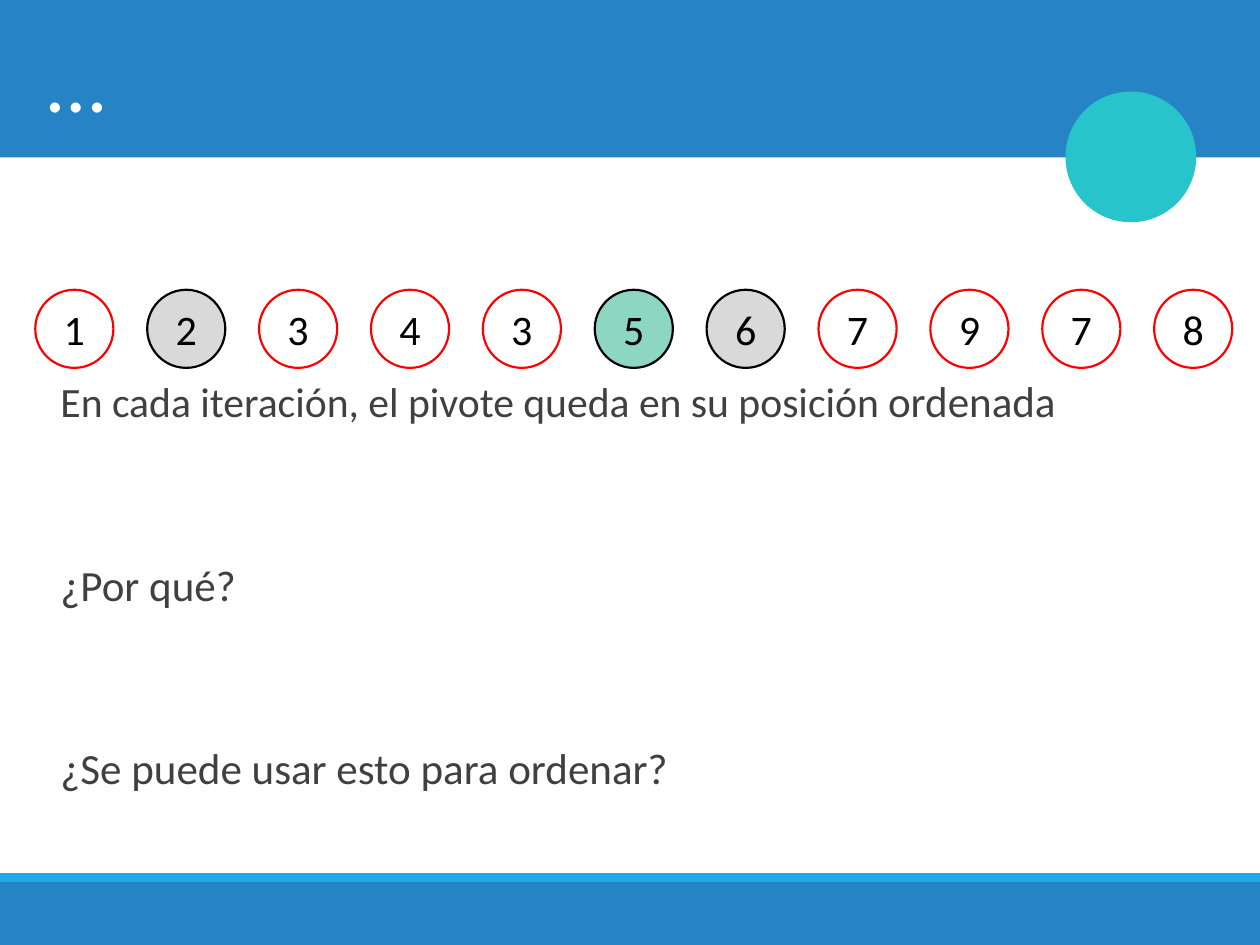
from pptx import Presentation
from pptx.dml.color import RGBColor
from pptx.enum.shapes import MSO_SHAPE as Geo
from pptx.enum.text import MSO_ANCHOR as Anchor, PP_ALIGN as Align
from pptx.util import Inches, Pt

WHITE = RGBColor(0xFF, 0xFF, 0xFF)
BLACK = RGBColor(0x00, 0x00, 0x00)
RED = RGBColor(0xFF, 0x00, 0x00)
BLUE = RGBColor(0x26, 0x83, 0xC6)
SKY = RGBColor(0x1C, 0xAD, 0xE4)
TEAL = RGBColor(0x28, 0xC4, 0xCC)
GRAY = RGBColor(0xD9, 0xD9, 0xD9)
MINT = RGBColor(0x8D, 0xD6, 0xC1)
DARK = RGBColor(0x40, 0x40, 0x40)

VALUES = [1, 2, 3, 4, 3, 5, 6, 7, 9, 7, 8]
PIVOTS = {1: GRAY, 5: MINT, 6: GRAY}
LINES = [
    [("En cada iteración, el pivote queda en su posición ", 23.8),
     ("ordenada", 24.6)],
    [("¿Por qué?", 24.6)],
    [("¿Se puede usar esto para ordenar?", 24.6)],
]
NO_INSET = dict(margin_left=0, margin_right=0, margin_top=0, margin_bottom=0)


def style(item, **values):
    for name, value in values.items():
        setattr(item, name, value)


def add_run(para, text, size, color):
    run = para.add_run()
    run.text = text
    style(run.font, name="Calibri", size=Pt(size))
    run.font.color.rgb = color
    return run


def add_shape(slide, kind, box, fill, line=None, width=0):
    shape = slide.shapes.add_shape(kind, *map(Inches, box))
    shape.shadow.inherit = False
    shape.fill.solid()
    shape.fill.fore_color.rgb = fill
    if line is None:
        shape.line.fill.background()
    else:
        shape.line.color.rgb = line
        shape.line.width = Pt(width)
    return shape


def add_frame(slide):
    """Draw the bars and the disc behind the title."""
    parts = [
        add_shape(slide, Geo.RECTANGLE, (0, 0, 10, 1.25), BLUE),
        add_shape(slide, Geo.RECTANGLE, (0, 7, 10, 0.5), BLUE),
        add_shape(slide, Geo.RECTANGLE, (0, 6.93, 10, 0.07), SKY),
        add_shape(slide, Geo.OVAL, (8.47, 0.74, 1.01, 1.01), TEAL, TEAL, 2),
    ]
    for part in parts:
        slide.shapes.title.element.addprevious(part.element)


def set_title(slide, text):
    title = slide.shapes.title
    style(title, left=Inches(0.28), top=Inches(0),
          width=Inches(9.45), height=Inches(1.25))
    title.text_frame.vertical_anchor = Anchor.MIDDLE
    para = title.text_frame.paragraphs[0]
    para.alignment = Align.LEFT
    run = add_run(para, text, 48, WHITE)
    run.font._element.set("spc", "-50")


def add_body(slide):
    box = slide.shapes.add_textbox(
        Inches(0.48), Inches(2.84), Inches(9.15), Inches(3.83))
    frame = box.text_frame
    style(frame, word_wrap=True, **NO_INSET)
    for i, line in enumerate(LINES):
        para = frame.add_paragraph() if i else frame.paragraphs[0]
        style(para, line_spacing=Pt(39), space_before=Pt(66 if i else 0))
        for text, size in line:
            add_run(para, text, size, DARK)


def add_nodes(slide):
    first, last, size = 0.28, 9.16, 0.62
    step = (last - first) / (len(VALUES) - 1)
    for i, value in enumerate(VALUES):
        node = add_shape(slide, Geo.OVAL, (first + i * step, 2.3, size, size),
                         PIVOTS.get(i, WHITE),
                         BLACK if i in PIVOTS else RED, 1.25)
        style(node.text_frame, vertical_anchor=Anchor.MIDDLE, **NO_INSET)
        para = node.text_frame.paragraphs[0]
        para.alignment = Align.CENTER
        add_run(para, str(value), 24, BLACK)


def main():
    deck = Presentation()
    style(deck, slide_width=Inches(10), slide_height=Inches(7.5))
    slide = deck.slides.add_slide(deck.slide_layouts[5])
    add_frame(slide)
    set_title(slide, "…")
    add_body(slide)
    add_nodes(slide)
    deck.save("out.pptx")


if __name__ == "__main__":
    main()
